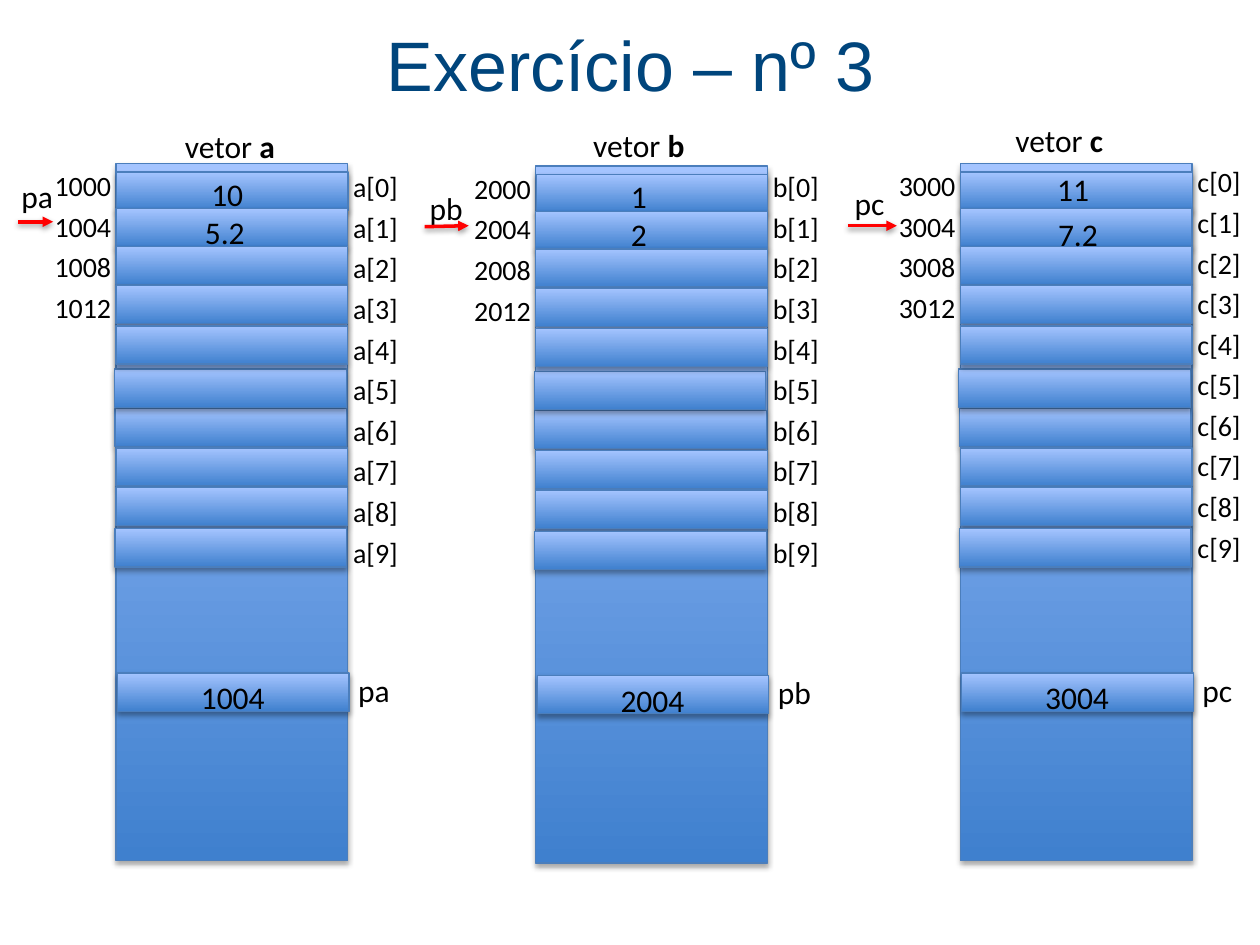
from dataclasses import dataclass

from lxml.etree import SubElement
from pptx import Presentation
from pptx.dml.color import RGBColor
from pptx.enum.shapes import MSO_CONNECTOR as CONNECTOR, MSO_SHAPE as SHAPE
from pptx.enum.text import MSO_ANCHOR as ANCHOR, PP_ALIGN as ALIGN
from pptx.oxml.ns import qn
from pptx.util import Cm, Pt


@dataclass(frozen=True)
class Theme:
    heading: RGBColor = RGBColor(0x00, 0x45, 0x7C)
    text: RGBColor = RGBColor(0, 0, 0)
    dark: RGBColor = RGBColor(0x3F, 0x80, 0xCE)
    light: RGBColor = RGBColor(0xA4, 0xC4, 0xFF)
    outline: RGBColor = RGBColor(0x4B, 0x7E, 0xBC)
    arrow: RGBColor = RGBColor(0xFF, 0, 0)
    heading_font: str = "Arial"
    body_font: str = "Calibri"
    heading_size: int = 40
    body_size: int = 18
    list_size: int = 16


theme = Theme()


def add_text(shapes, lines, left, top, width=2.2, height=1.02, *, size=theme.body_size,
             font=theme.body_font, color=theme.text, align=ALIGN.LEFT,
             anchor=ANCHOR.TOP, space_after=0, bold_end=""):
    """Add one paragraph per line; bold_end is a bold run closing each line."""
    box = shapes.add_textbox(Cm(left), Cm(top), Cm(width), Cm(height))
    frame = box.text_frame
    frame.word_wrap = True
    frame.vertical_anchor = anchor
    for index, line in enumerate(lines):
        paragraph = frame.add_paragraph() if index else frame.paragraphs[0]
        paragraph.alignment = align
        paragraph.space_after = Pt(space_after)
        for content, bold in ((line, False), (bold_end, True)):
            if content:
                run = paragraph.add_run()
                run.text = content
                run.font.name = font
                run.font.size = Pt(size)
                run.font.bold = bold
                run.font.color.rgb = color


def add_shadow(shape, distance, opacity):
    """Give a shape a soft black shadow falling straight down."""
    effects = SubElement(shape.element.spPr, qn("a:effectLst"))
    shadow = SubElement(effects, qn("a:outerShdw"), blurRad="40000", dist=str(distance),
                        dir="5400000", rotWithShape="0")
    black = SubElement(shadow, qn("a:srgbClr"), val="000000")
    SubElement(black, qn("a:alpha"), val=str(opacity * 1000))


presentation = Presentation()
presentation.slide_width, presentation.slide_height = Cm(25.4), Cm(19.05)
slide = presentation.slides.add_slide(presentation.slide_layouts[6])

# Heading
add_text(slide.shapes, ["Exercício – nº 3"], 0.89, 0.08, 23.65, 2.41,
         size=theme.heading_size, font=theme.heading_font, color=theme.heading,
         align=ALIGN.CENTER, anchor=ANCHOR.MIDDLE)

# Bars of a memory column, back to front: offset x, offset y, height
CELL = 0.77
memory_bars = [(0, 0, 14.05)] + [(x, y, CELL) for x, y in (
    (0.01, 0.17), (0, 0.91), (0, 1.67), (0, 2.46), (-0.02, 4.93), (-0.03, 4.14),
    (0, 3.27), (0, 5.73), (0, 6.53), (-0.02, 7.36), (0.03, 10.27))]

# Name, first address, column corner, title, index list top, pointer label, arrow, values
vectors = [
    ("a", 1000, (2.34, 3.30), (3.48, 2.44), 3.30, (0.18, 3.45), (0.36, 4.47, 1.07, 4.47),
     [("10", 4.01, 3.40), ("5.2", 3.88, 4.16)]),
    ("b", 2000, (10.80, 3.35), (11.71, 2.41), 3.30, (8.41, 3.68),
     (8.56, 4.57, 9.45, 4.55), [("1", 12.47, 3.45), ("2", 12.47, 4.22)]),
    ("c", 3000, (19.36, 3.30), (20.22, 2.31), 3.20, (16.98, 3.58),
     (17.09, 4.55, 18.08, 4.55), [("11", 21.06, 3.30), ("7.2", 21.08, 4.22)]),
]

for name, address, (left, top), title, index_top, label, arrow_ends, values in vectors:
    shapes = slide.shapes.add_group_shape().shapes

    # Memory column and its cells
    for x, y, height in memory_bars:
        bar = shapes.add_shape(SHAPE.RECTANGLE, Cm(left + x), Cm(top + y),
                               Cm(4.67), Cm(height))
        bar.fill.gradient()
        bar.fill.gradient_angle = 90
        for stop, color in zip(bar.fill.gradient_stops, (theme.dark, theme.light)):
            stop.color.rgb = color
        bar.line.color.rgb = theme.outline
        bar.line.width = Pt(0.75)
        add_shadow(bar, 23000, 35)

    # Indices and addresses beside the cells
    add_text(shapes, [f"{name}[{i}]" for i in range(10)], left + 4.53, index_top,
             height=8.38, size=theme.list_size, space_after=4)
    add_text(shapes, [str(address + 4 * i) for i in range(4)], left - 1.49, top - 0.02,
             height=4.42, size=theme.list_size, space_after=4)

    # Pointer variable: name, stored address, label and arrow
    pointer = f"p{name}"
    add_text(shapes, [pointer], left + 4.63, top + 10.1, 1.6)
    add_text(shapes, [str(address + 4)], left + 1.46, top + 10.25)
    add_text(shapes, [pointer], *label, 1.6)
    arrow = shapes.add_connector(CONNECTOR.STRAIGHT, *(Cm(end) for end in arrow_ends))
    arrow.line.color.rgb = theme.arrow
    arrow.line.width = Pt(2)
    SubElement(arrow.element.spPr.find(qn("a:ln")), qn("a:tailEnd"), type="triangle")
    add_shadow(arrow, 20000, 38)

    # Stored values and the vector's title
    for value, x, y in values:
        add_text(shapes, [value], x, y)
    add_text(shapes, ["vetor "], *title, 4.27, bold_end=name)

presentation.save("out.pptx")
